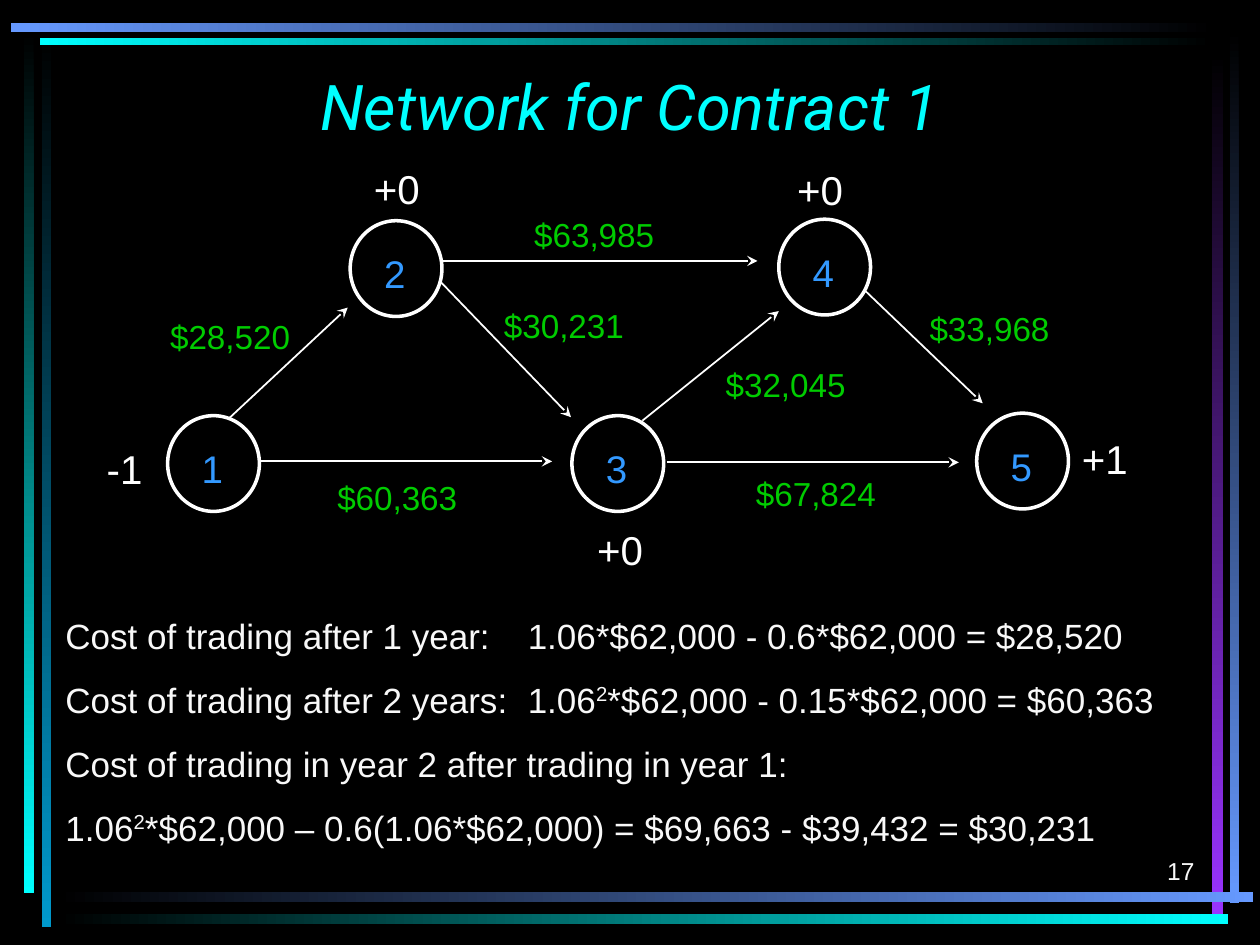
from dataclasses import dataclass

from lxml import etree
from pptx import Presentation
from pptx.dml.color import RGBColor
from pptx.enum.shapes import MSO_CONNECTOR, MSO_SHAPE
from pptx.enum.text import MSO_ANCHOR, PP_ALIGN
from pptx.oxml.ns import qn
from pptx.util import Cm, Pt

LEFT, MID, RIGHT = PP_ALIGN.LEFT, PP_ALIGN.CENTER, PP_ALIGN.RIGHT
TOP, CENTER, BASE = MSO_ANCHOR.TOP, MSO_ANCHOR.MIDDLE, MSO_ANCHOR.BOTTOM
OVAL, RECT = MSO_SHAPE.OVAL, MSO_SHAPE.RECTANGLE
STRAIGHT = MSO_CONNECTOR.STRAIGHT
ACROSS, DOWN = 0, 270  # gradient angles


@dataclass(frozen=True)
class Theme:
    black: str = "000000"
    white: str = "FFFFFF"
    pale: str = "F8F8F8"
    cyan: str = "00FFFF"
    teal: str = "0099CC"
    blue: str = "6699FF"
    violet: str = "9933FF"
    digit: str = "3399FF"
    green: str = "00CC00"
    font: str = "Arial"
    head: str = "Roboto"
    title: int = 36
    supply: int = 23
    node: int = 22
    body: int = 20
    cost: int = 19
    page: int = 14


THEME = Theme()

# colour, gradient angle, whether the bright end comes first, box in cm
BARS = [
    (THEME.teal, DOWN, False, (0.84, 0.71, 0.2, 17.98)),
    (THEME.cyan, DOWN, False, (0.48, 0.64, 0.2, 17.37)),
    (THEME.blue, DOWN, False, (24.79, 0.61, 0.18, 17.6)),
    (THEME.violet, DOWN, False, (24.43, 1.07, 0.23, 17.35)),
    (THEME.blue, ACROSS, False, (1.14, 17.98, 24.13, 0.2)),
    (THEME.cyan, ACROSS, False, (1.14, 18.42, 23.62, 0.2)),
    (THEME.cyan, ACROSS, True, (0.81, 0.76, 23.67, 0.15)),
    (THEME.blue, ACROSS, True, (0.22, 0.47, 24.28, 0.18)),
]

# number, left and top of the circle, supply, left and top of the supply
NODES = [
    ("1", 3.38, 8.38, "-1", 1.9, 8.84),
    ("2", 7.06, 4.45, "+0", 7.29, 3.18),
    ("3", 11.53, 8.38, "+0", 11.79, 10.46),
    ("4", 15.7, 4.42, "+0", 15.82, 3.2),
    ("5", 19.69, 8.33, "+1", 21.56, 8.64),
]

# start, end, cost, left and top of the cost
ARCS = [
    ((4.62, 8.43), (7.01, 6.2), "$28,520", 3.18, 6.25),
    ((5.23, 9.3), (11.13, 9.3), "$60,363", 6.55, 9.5),
    ((8.89, 5.69), (11.51, 8.41), "$30,231", 9.91, 6.02),
    ((8.89, 5.26), (15.27, 5.26), "$63,985", 10.52, 4.19),
    ((12.95, 8.48), (15.7, 6.27), "$32,045", 14.38, 7.21),
    ((13.44, 9.32), (19.33, 9.32), "$67,824", 14.99, 9.42),
    ((17.45, 5.87), (19.81, 8.13), "$33,968", 18.49, 6.1),
]

# carets enclose superscripts
NOTES = """Cost of trading after 1 year:\t1.06*$62,000 - 0.6*$62,000 = $28,520
Cost of trading after 2 years:\t1.06^2^*$62,000 - 0.15*$62,000 = $60,363
Cost of trading in year 2 after trading in year 1:
1.06^2^*$62,000 – 0.6(1.06*$62,000) = $69,663 - $39,432 = $30,231"""


def color(code):
    return RGBColor.from_string(code)


def write(frame, text, size, ink, font=THEME.font, italic=False, align=LEFT,
          anchor=TOP, wrap=True, before=0, tab=None):
    """Fill a text frame, one paragraph a line, raising text between carets."""
    frame.word_wrap = wrap
    frame.vertical_anchor = anchor
    for num, line in enumerate(text.split("\n")):
        para = frame.add_paragraph() if num else frame.paragraphs[0]
        para.alignment = align
        para.space_before = Pt(before)
        if tab:
            stops = etree.SubElement(para._p.get_or_add_pPr(), qn("a:tabLst"))
            etree.SubElement(stops, qn("a:tab"), pos=str(Cm(tab)), algn="l")
        for part, piece in enumerate(line.split("^")):
            run = para.add_run()
            run.text = piece
            run.font.name = font
            run.font.size = Pt(size)
            run.font.italic = italic
            run.font.color.rgb = color(ink)
            if part % 2:
                run.font._element.set("baseline", "35000")


class Board:
    """Draws styled elements on one slide; lengths are in cm."""

    def __init__(self, slide, theme):
        self.slide = slide
        self.theme = theme
        fill = slide.background.fill
        fill.solid()
        fill.fore_color.rgb = color(theme.black)

    def shape(self, kind, box):
        item = self.slide.shapes.add_shape(kind, *map(Cm, box))
        item.shadow.inherit = False
        return item

    def bar(self, ink, angle, first, box):
        item = self.shape(RECT, box)
        item.line.fill.background()
        item.fill.gradient()
        item.fill.gradient_angle = angle
        ends = (ink, self.theme.black) if first else (self.theme.black, ink)
        for stop, code in zip(item.fill.gradient_stops, ends):
            stop.color.rgb = color(code)

    def node(self, label, left, top):
        item = self.shape(OVAL, (left, top, 1.85, 1.93))
        item.fill.background()
        item.line.color.rgb = color(self.theme.white)
        item.line.width = Pt(2)
        frame = item.text_frame
        frame.margin_left = frame.margin_bottom = 0
        frame.margin_right = Cm(0.05)
        frame.margin_top = Cm(0.2)
        write(frame, label, self.theme.node, self.theme.digit,
              align=MID, anchor=CENTER, wrap=False)

    def arrow(self, start, end):
        item = self.slide.shapes.add_connector(
            STRAIGHT, *map(Cm, start + end))
        item.line.color.rgb = color(self.theme.white)
        item.line.width = Pt(1)
        etree.SubElement(item.line._get_or_add_ln(), qn("a:tailEnd"),
                         type="stealth")
        etree.SubElement(item._element.spPr, qn("a:effectLst"))

    def text(self, text, box, size, ink, **style):
        item = self.slide.shapes.add_textbox(*map(Cm, box))
        write(item.text_frame, text, size, ink, **style)


def main():
    deck = Presentation()
    deck.slide_width, deck.slide_height = Cm(25.4), Cm(19.05)
    board = Board(deck.slides.add_slide(deck.slide_layouts[6]), THEME)

    for bar in BARS:
        board.bar(*bar)
    board.text("Network for Contract 1", (1.9, 1.27, 21.6, 1.7),
               THEME.title, THEME.cyan, font=THEME.head, italic=True,
               align=MID, anchor=CENTER)
    for label, left, top, supply, x, y in NODES:
        board.node(label, left, top)
        board.text(supply, (x, y, 1.45, 1.22), THEME.supply, THEME.white,
                   wrap=False)
    for start, end, cost, x, y in ARCS:
        board.arrow(start, end)
        board.text(cost, (x, y, 2.92, 1.07), THEME.cost, THEME.green,
                   wrap=False)
    board.text(NOTES, (1.07, 12.27, 23.52, 4.98), THEME.body, THEME.pale,
               before=12.5, tab=9.32)
    board.text("17", (19.05, 16.71, 5.28, 1.27), THEME.page, THEME.pale,
               align=RIGHT, anchor=BASE)
    deck.save("out.pptx")


if __name__ == "__main__":
    main()
